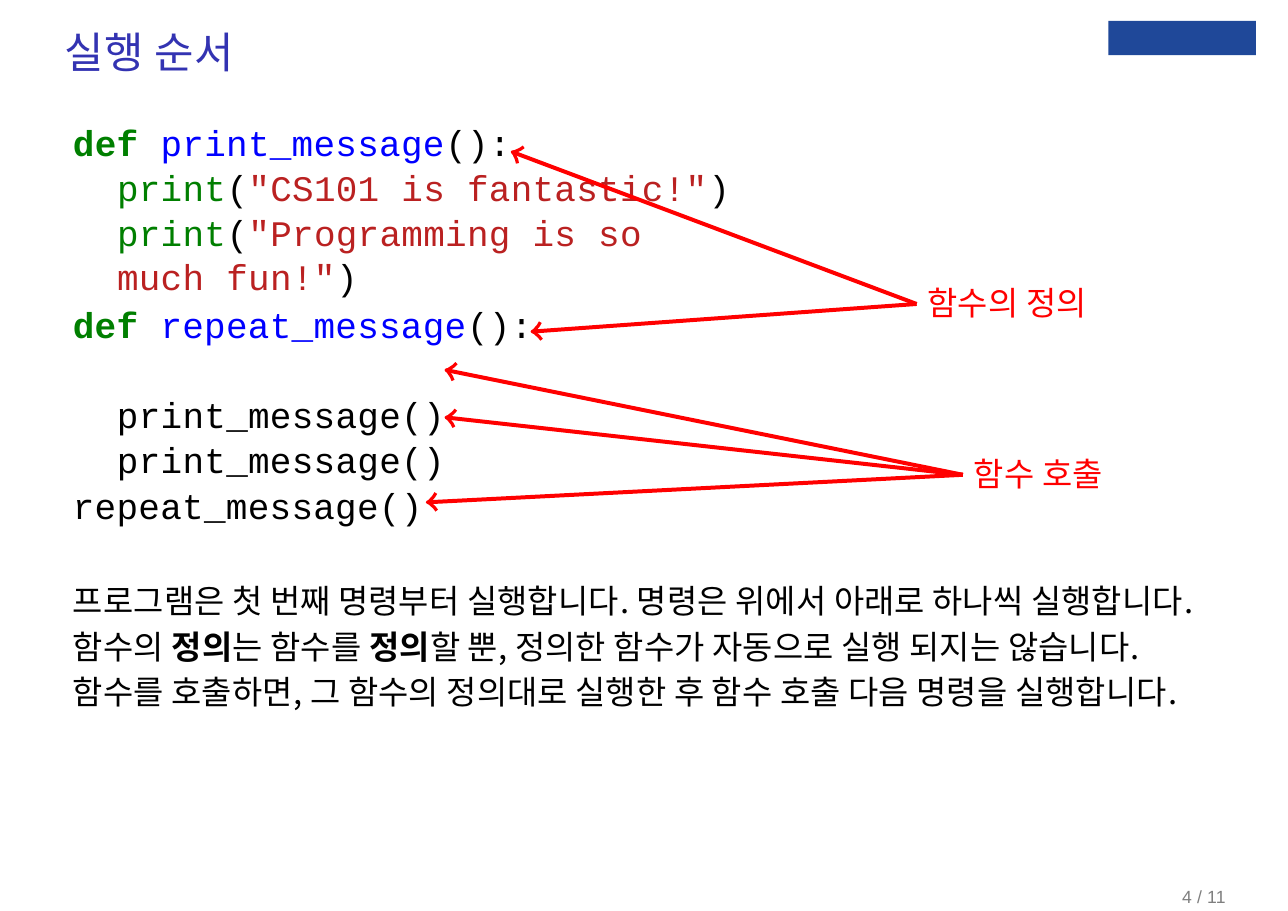
from math import hypot

from lxml.etree import SubElement
from pptx import Presentation
from pptx.dml.color import RGBColor
from pptx.enum.shapes import MSO_CONNECTOR, MSO_SHAPE
from pptx.enum.text import MSO_ANCHOR, MSO_AUTO_SIZE, PP_ALIGN
from pptx.oxml.ns import qn
from pptx.util import Inches, Pt

TITLE_BLUE = RGBColor(0x33, 0x33, 0xB2)
GREEN = RGBColor(0x00, 0x7F, 0x00)
NAME_BLUE = RGBColor(0x00, 0x00, 0xFF)
STRING_RED = RGBColor(0xBA, 0x21, 0x21)
RED = RGBColor(0xFF, 0x00, 0x00)
BLACK = RGBColor(0x00, 0x00, 0x00)
GRAY = RGBColor(0x7F, 0x7F, 0x7F)
EMBLEM_BLUE = RGBColor(0x1F, 0x48, 0x99)

HANGUL = "Noto Sans CJK KR"
CODE = dict(font="Courier New", size=23.5, spc=20)
NOTE = dict(font=HANGUL, size=21.5, spc=12)
MARGIN = 5.58
INDENT = 0.41
HALF_HEAD = [(0.08, 0.08), (0.06, 0.05), (0.04, 0.03), (0.02, 0.01)]
HEAD = HALF_HEAD + [(0, 0)] + [(back, -side) for back, side in reversed(HALF_HEAD)]


def define(name):
    return dict(runs=[("def ", GREEN, True), (name, NAME_BLUE), ("():", BLACK)], ls=1.05)


def show(text, **fmt):
    return dict(runs=[("print", GREEN), ("(", BLACK), (text, STRING_RED), (")", BLACK)],
                indent=INDENT, **fmt)


def plain(text, color=BLACK, **fmt):
    return dict(runs=[(text, color)], **fmt)


TITLE = [plain("실행 순서", TITLE_BLUE)]
CODE_BLOCKS = [
    ((MARGIN, 12.98, 51.93, 15), [
        define("print_message"),
        show('"CS101 is fantastic!"', ls=1.05),
        show('"Programming is so much fun!"', before=1.4),
    ]),
    ((MARGIN, 33.01, 43, 15), [
        define("repeat_message"),
        plain("print_message()", indent=INDENT, ls=1.05, before=29),
        plain("print_message()", indent=INDENT, ls=1.05),
    ]),
    ((MARGIN, 53.08, 30, 4.84), [plain("repeat_message()")]),
]
EXPLANATION = [
    plain("프로그램은 첫 번째 명령부터 실행합니다. 명령은 위에서 아래로 하나씩 실행합니다.", ls=1.15),
    dict(runs=[("함수의 ", BLACK), ("정의", BLACK, True), ("는 함수를 ", BLACK),
               ("정의", BLACK, True),
               ("할 뿐, 정의한 함수가 자동으로 실행 되지는 않습니다.", BLACK)], ls=1.15),
    plain("함수를 호출하면, 그 함수의 정의대로 실행한 후 함수 호출 다음 명령을 실행합니다.", ls=1.15),
]
CALLOUTS = [
    ("함수의 정의", (71.94, 31.06, 24, 4.35), (71.17, 33.37),
     [(39.78, 16.69), (41.32, 36.4)]),
    ("함수 호출", (75.53, 49.8, 17, 4.35), (74.76, 52.12),
     [(34.64, 40.63), (34.64, 45.83), (33.19, 55.14)]),
]

prs = Presentation()
prs.slide_width, prs.slide_height = Inches(11.69), Inches(8.27)
slide = prs.slides.add_slide(prs.slide_layouts[1])


def at(*shares):
    sides = (prs.slide_width, prs.slide_height) * 2
    return [round(side * share / 100) for side, share in zip(sides, shares)]


def write(sp, lines, font, size, spc=0):
    tf = sp.text_frame
    tf.word_wrap = True
    tf.auto_size = MSO_AUTO_SIZE.NONE
    tf.vertical_anchor = MSO_ANCHOR.TOP
    tf.margin_left = tf.margin_right = tf.margin_top = tf.margin_bottom = 0
    for i, line in enumerate(lines):
        p = tf.add_paragraph() if i else tf.paragraphs[0]
        p.alignment = PP_ALIGN.LEFT
        p.line_spacing = line.get("ls", 1.0)
        p.space_before = Pt(line.get("before", 0))
        pPr = p._p.get_or_add_pPr()
        pPr.set("marL", str(Inches(line.get("indent", 0.01))))
        pPr.set("indent", "0")
        SubElement(pPr, qn("a:buNone"))
        for text, color, *bold in line["runs"]:
            r = p.add_run()
            r.text = text
            r.font.name, r.font.size = font, Pt(size)
            r.font.bold = bool(bold)
            r.font.color.rgb = color
            rPr = r._r.get_or_add_rPr()
            rPr.set("spc", str(spc))
            if font == HANGUL:
                SubElement(rPr, qn("a:ea"), typeface=font)


def place(sp, *shares):
    sp.left, sp.top, sp.width, sp.height = at(*shares)
    return sp


def add_text(box, lines, **fmt):
    write(slide.shapes.add_textbox(*at(*box)), lines, **fmt)


def add_arrow(start, tip):
    x0, y0, x1, y1 = at(*start, *tip)
    length = hypot(x0 - x1, y0 - y1)
    ux, uy = (x0 - x1) / length, (y0 - y1) / length

    def from_tip(back, side):
        return (round(x1 + Inches(1) * (back * ux - side * uy)),
                round(y1 + Inches(1) * (back * uy + side * ux)))

    shaft = slide.shapes.add_connector(MSO_CONNECTOR.STRAIGHT, x0, y0, *from_tip(0.02, 0))
    SubElement(shaft._element.spPr, qn("a:effectLst"))
    first, *rest = [from_tip(*point) for point in HEAD]
    builder = slide.shapes.build_freeform(*first)
    builder.add_line_segments(rest, close=False)
    head = builder.convert_to_shape()
    head.shadow.inherit = False
    head.fill.background()
    for part, width in ((shaft, 2.62), (head, 2.1)):
        part.line.color.rgb = RED
        part.line.width = Pt(width)


title, body = slide.placeholders
write(place(title, 4.96, 2.8, 26.09, 5.68), TITLE, font="Arial", size=28, spc=25)
for box, lines in CODE_BLOCKS:
    add_text(box, lines, **CODE)
write(place(body, MARGIN, 63.12, 91.1, 15.11), EXPLANATION, **NOTE)

for label, box, start, tips in CALLOUTS:
    add_text(box, [plain(label, RED)], **NOTE)
    for tip in tips:
        add_arrow(start, tip)

emblem = slide.shapes.add_shape(MSO_SHAPE.RECTANGLE, *at(86.06, 2.3, 11.46, 3.75))
emblem.shadow.inherit = False
emblem.fill.solid()
emblem.fill.fore_color.rgb = EMBLEM_BLUE
emblem.line.fill.background()

add_text((91.7, 97.3, 6, 2.4), [plain("4 / 11", GRAY)], font="Arial", size=11.5, spc=10)

prs.save("out.pptx")
